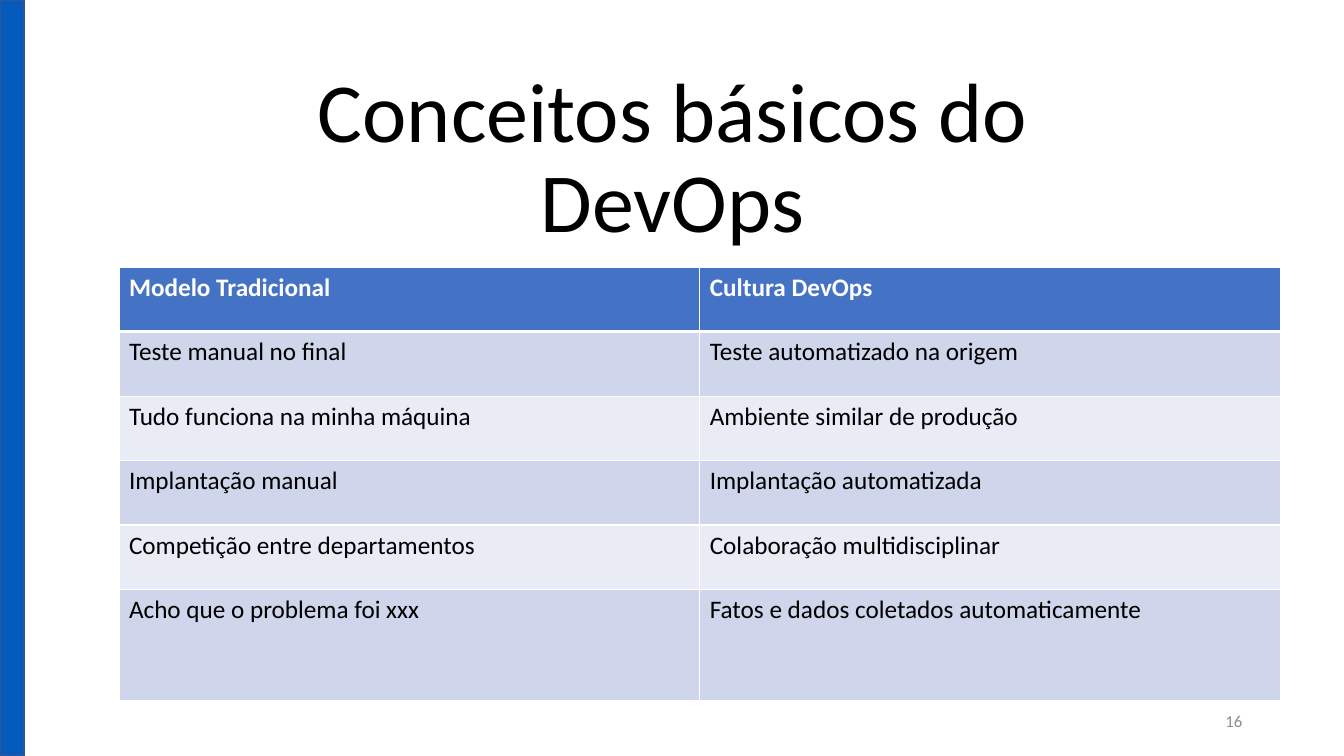
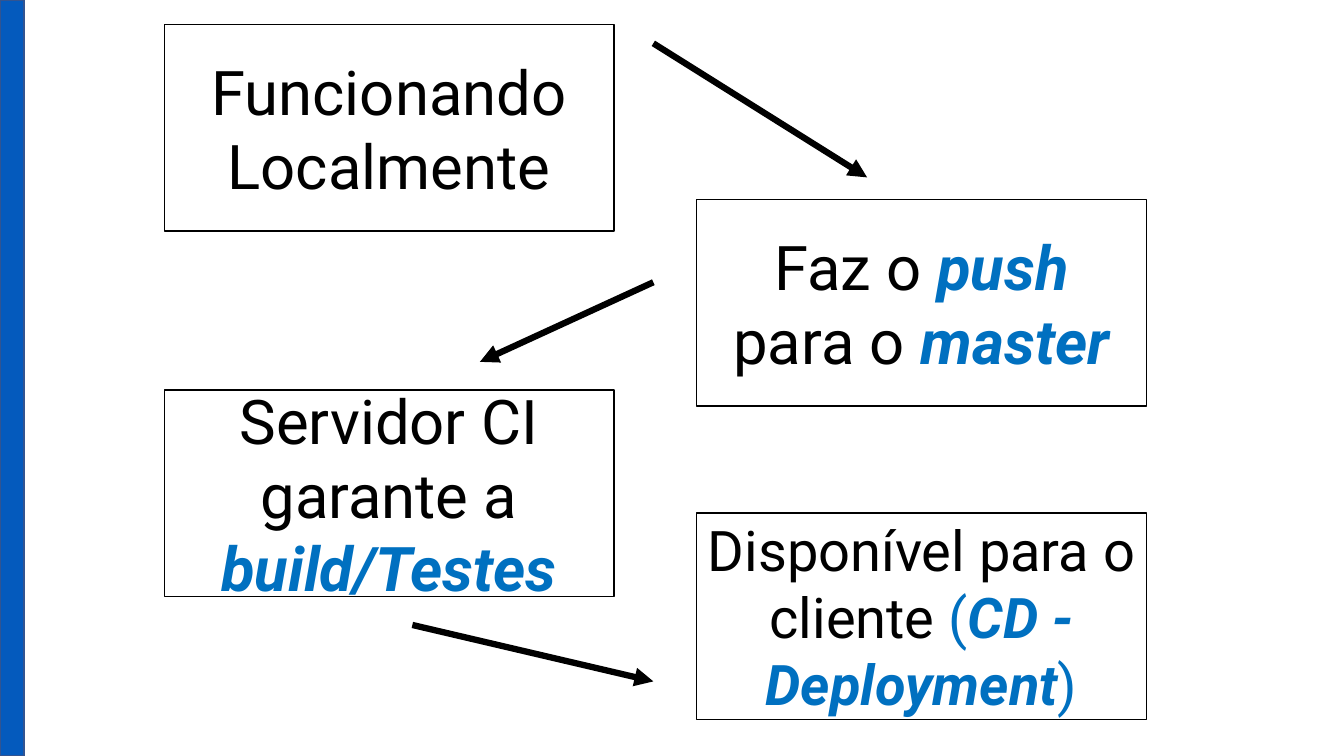
import pptx
import pptx.dml.color
import pptx.enum.shapes
import pptx.enum.text
import pptx.oxml
import pptx.oxml.ns
import pptx.util

Inches = pptx.util.Inches
Pt = pptx.util.Pt
PP_ALIGN = pptx.enum.text.PP_ALIGN
MSO_ANCHOR = pptx.enum.text.MSO_ANCHOR
MSO_SHAPE = pptx.enum.shapes.MSO_SHAPE

COLORS = {
    name: pptx.dml.color.RGBColor.from_string(value)
    for name, value in {
        "black": "000000",
        "white": "FFFFFF",
        "band": "045ABD",
        "band_line": "325491",
        "accent": "0070C0",
        "number": "8C8C8C",
        "header": "4472C4",
        "odd_row": "CFD5EA",
        "even_row": "E9EBF5",
    }.items()
}
DRAWING_NS = pptx.oxml.ns.nsdecls("a")


def add_span(para, text, color, **formats):
    span = para.add_run()
    span.text = text
    span.font.color.rgb = COLORS[color]
    for name, value in formats.items():
        setattr(span.font, name, value)


def add_rectangle(page, left, top, width, height, fill, line):
    box = page.shapes.add_shape(
        MSO_SHAPE.RECTANGLE, Inches(left), Inches(top), Inches(width), Inches(height)
    )
    box.shadow.inherit = False
    box.fill.solid()
    box.fill.fore_color.rgb = COLORS[fill]
    box.line.color.rgb = COLORS[line]
    box.line.width = Pt(1)
    return box


deck = pptx.Presentation()
deck.slide_width = Inches(13.33)
deck.slide_height = Inches(7.5)

table_page = deck.slides.add_slide(deck.slide_layouts.get_by_name("Title Only"))
flow_page = deck.slides.add_slide(deck.slide_layouts.get_by_name("Blank"))
for page in (table_page, flow_page):
    add_rectangle(page, 0, 0, 0.24, 7.5, "band", "band_line")

# Comparison table: title, page number, table
title = table_page.shapes.title
title.left, title.top = Inches(1.67), Inches(1.17)
title.width, title.height = Inches(10), Inches(1.37)
title.text_frame.auto_size = pptx.enum.text.MSO_AUTO_SIZE.NONE
title.text_frame.vertical_anchor = MSO_ANCHOR.BOTTOM
para = title.text_frame.paragraphs[0]
para.alignment = PP_ALIGN.CENTER
para.line_spacing = 0.9
add_span(para, "Conceitos básicos do DevOps", "black", size=Pt(60), name="Calibri")

number_box = table_page.shapes.add_textbox(Inches(9.42), Inches(6.95), Inches(3), Inches(0.4))
number_box.text_frame.word_wrap = True
number_box.text_frame.vertical_anchor = MSO_ANCHOR.MIDDLE
para = number_box.text_frame.paragraphs[0]
para.alignment = PP_ALIGN.RIGHT
add_span(para, "16", "number", size=Pt(12), name="Calibri")

comparison = [
    ("Modelo Tradicional", "Cultura DevOps"),
    ("Teste manual no final", "Teste automatizado na origem"),
    ("Tudo funciona na minha máquina", "Ambiente similar de produção"),
    ("Implantação manual", "Implantação automatizada"),
    ("Competição entre departamentos", "Colaboração multidisciplinar"),
    ("Acho que o problema foi xxx", "Fatos e dados coletados automaticamente"),
]
row_heights = [0.64] * 5 + [1.1]
table = table_page.shapes.add_table(
    len(comparison), 2, Inches(1.18), Inches(2.65), Inches(11.52), Inches(sum(row_heights))
).table
table.horz_banding = False
for row_index, (texts, height) in enumerate(zip(comparison, row_heights)):
    table.rows[row_index].height = Inches(height)
    is_header = row_index == 0
    fill = "header" if is_header else "odd_row" if row_index % 2 else "even_row"
    border_widths = {
        "lnL": 1,
        "lnR": 1,
        "lnT": 3 if row_index == 1 else 1,
        "lnB": 3 if is_header else 1,
    }
    for column_index, text in enumerate(texts):
        cell = table.cell(row_index, column_index)
        cell.fill.solid()
        cell.fill.fore_color.rgb = COLORS[fill]
        add_span(
            cell.text_frame.paragraphs[0], text, "white" if is_header else "black",
            size=Pt(18), name="Calibri", bold=is_header,
        )
        cell_properties = cell._tc.get_or_add_tcPr()
        for position, (side, width) in enumerate(border_widths.items()):
            border = pptx.oxml.parse_xml(
                f'<a:{side} {DRAWING_NS} w="{Pt(width)}"><a:solidFill>'
                f'<a:srgbClr val="{COLORS["white"]}"/></a:solidFill></a:{side}>'
            )
            cell_properties.insert(position, border)

# Delivery flow: four steps joined by arrows
strong = {"bold": True, "italic": True}
left_column, right_column = 1.63, 6.91
steps = [
    (left_column, 0.24, 44, [("Funcionando Localmente", "black", {})]),
    (right_column, 1.98, 44, [
        ("Faz o ", "black", {}),
        ("push", "accent", strong),
        (" para o ", "black", {}),
        ("master", "accent", strong),
    ]),
    (left_column, 3.87, 44, [
        ("Servidor CI garante a ", "black", {}),
        ("build/Testes", "accent", strong),
    ]),
    (right_column, 5.09, 40, [
        ("Disponível para o cliente ", "black", {}),
        ("(", "accent", {}),
        ("CD - Deployment", "accent", strong),
        (")", "accent", {}),
    ]),
]
for left, top, size, spans in steps:
    box = add_rectangle(flow_page, left, top, 4.46, 2.05, "white", "black")
    box.text_frame.word_wrap = True
    box.text_frame.vertical_anchor = MSO_ANCHOR.MIDDLE
    para = box.text_frame.paragraphs[0]
    para.alignment = PP_ALIGN.CENTER
    for text, color, formats in spans:
        add_span(para, text, color, size=Pt(size), name="Roboto", **formats)

arrows = [
    (6.48, 0.43, 8.6, 1.76),
    (6.48, 2.8, 4.76, 3.59),
    (4.09, 6.2, 6.48, 6.76),
]
for ends in arrows:
    arrow = flow_page.shapes.add_connector(
        pptx.enum.shapes.MSO_CONNECTOR.STRAIGHT, *map(Inches, ends)
    )
    arrow.line.color.rgb = COLORS["black"]
    arrow.line.width = Pt(4.5)
    arrow.line._get_or_add_ln().append(
        pptx.oxml.parse_xml(f'<a:tailEnd {DRAWING_NS} type="triangle"/>')
    )
    arrow._element.spPr.append(pptx.oxml.parse_xml(f"<a:effectLst {DRAWING_NS}/>"))

deck.save("out.pptx")
